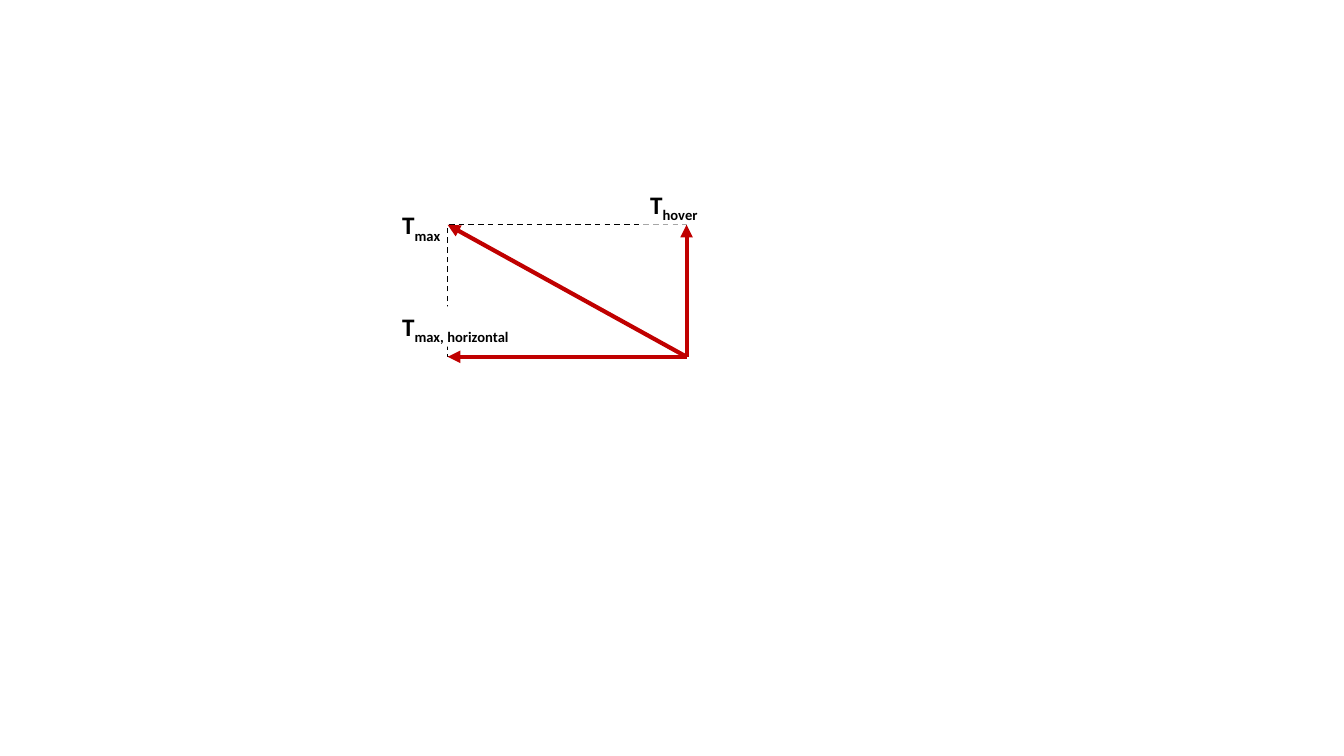
from lxml import etree
from pptx import Presentation
from pptx.dml.color import RGBColor
from pptx.enum.dml import MSO_LINE
from pptx.enum.shapes import MSO_CONNECTOR, MSO_SHAPE
from pptx.enum.text import MSO_AUTO_SIZE
from pptx.oxml.ns import qn
from pptx.util import Inches, Pt

COLORS = {"thrust": "C00000", "ink": "000000", "paper": "FFFFFF"}
LEFT, TOP, RIGHT, BOTTOM = 4.44, 2.23, 6.81, 3.54


def color(name):
    return RGBColor.from_string(COLORS[name])


prs = Presentation()
prs.slide_width, prs.slide_height = Inches(13.33), Inches(7.5)
slide = prs.slides.add_slide(prs.slide_layouts[6])
shapes = slide.shapes

# Dashed frame that closes the force parallelogram
frame = shapes.add_shape(MSO_SHAPE.RECTANGLE, Inches(LEFT), Inches(TOP),
                         Inches(RIGHT - LEFT), Inches(BOTTOM - TOP))
frame.shadow.inherit = False
frame.fill.background()
frame.line.color.rgb = color("ink")
for name, value in {"width": Pt(1), "dash_style": MSO_LINE.DASH}.items():
    setattr(frame.line, name, value)

# Thrust vectors from the common origin: maximum, hover, horizontal
for tip_x, tip_y in [(LEFT, TOP), (RIGHT, TOP), (LEFT, BOTTOM)]:
    vector = shapes.add_connector(MSO_CONNECTOR.STRAIGHT, Inches(RIGHT), Inches(BOTTOM),
                                  Inches(tip_x), Inches(tip_y))
    vector.line.color.rgb = color("thrust")
    vector.line.width = Pt(3)
    etree.SubElement(vector.line._get_or_add_ln(), qn("a:tailEnd"), type="triangle")
    etree.SubElement(vector._element.spPr, qn("a:effectLst"))

# Labels: T with a subscript, some masking the frame behind them
label_font = {"name": "Calibri", "size": Pt(18), "bold": True}
labels = [
    ("max", 3.89, 2.03, 0.61, False),
    ("max, horizontal", 3.89, 3.04, 1.4, True),
    ("hover", 6.35, 1.83, 0.73, True),
]
for subscript, x, y, width, masks_frame in labels:
    label = shapes.add_textbox(Inches(x), Inches(y), Inches(width), Inches(0.4))
    if masks_frame:
        label.fill.solid()
        label.fill.fore_color.rgb = color("paper")
    label.text_frame.word_wrap = False
    label.text_frame.auto_size = MSO_AUTO_SIZE.SHAPE_TO_FIT_TEXT
    paragraph = label.text_frame.paragraphs[0]
    for text in ("T", subscript):
        run = paragraph.add_run()
        run.text = text
        for name, value in label_font.items():
            setattr(run.font, name, value)
        run.font.color.rgb = color("ink")
    run.font._element.set("baseline", "-25000")

prs.save("out.pptx")
